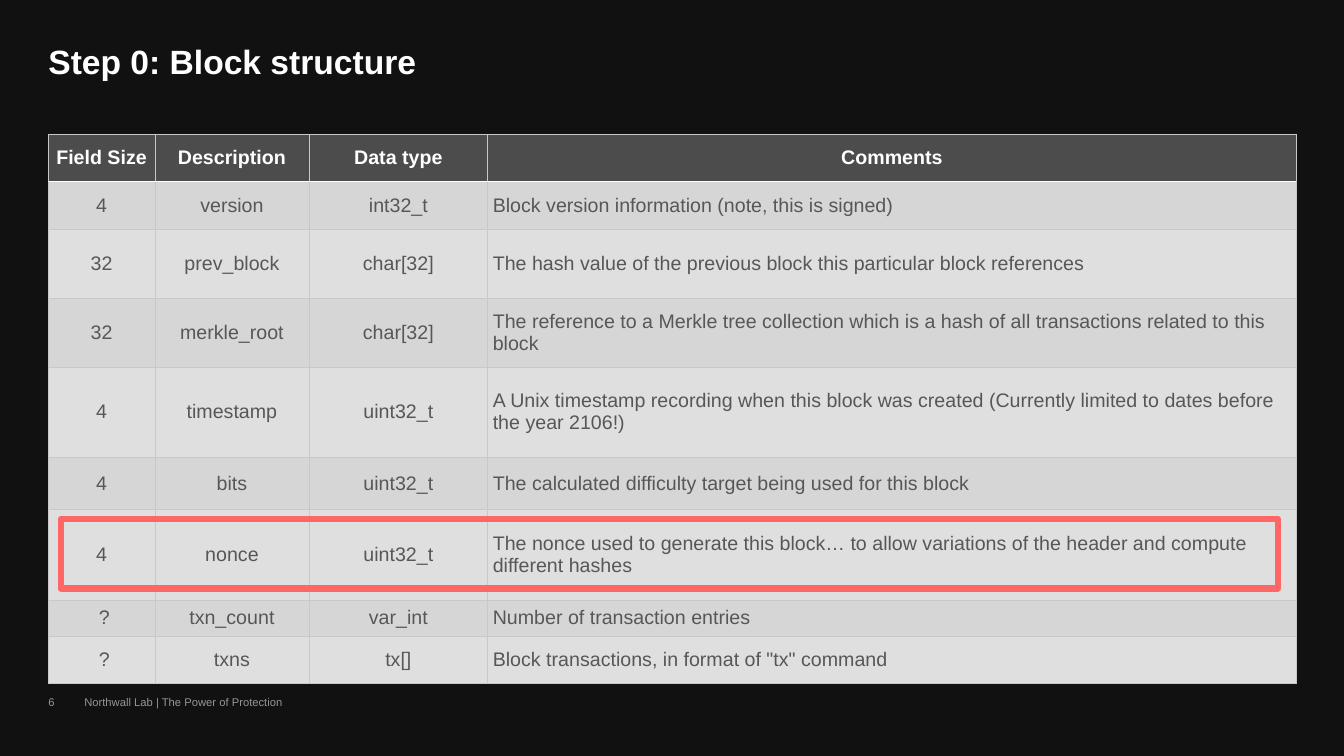
from lxml import etree
from pptx import Presentation
from pptx.dml.color import RGBColor
from pptx.enum.shapes import MSO_SHAPE
from pptx.enum.text import MSO_ANCHOR, PP_ALIGN
from pptx.oxml.ns import qn
from pptx.util import Pt

RECTANGLE = MSO_SHAPE.RECTANGLE
TOP, MIDDLE = MSO_ANCHOR.TOP, MSO_ANCHOR.MIDDLE
LEFT, CENTER = PP_ALIGN.LEFT, PP_ALIGN.CENTER

BACKGROUND = "111111"
WHITE = "FFFFFF"
HEADER_FILL = "4C4C4C"
BAND_FILLS = ("DFDFDF", "D6D6D6")
BODY_TEXT = "575757"
GRID = "C8C8C8"
FOOTER_TEXT = "969696"
HIGHLIGHT = "FF6666"

MARGIN = 34.56
CONTENT_WIDTH = 891.36
TABLE_TOP = 95.9
COLUMN_WIDTHS = (76.1, 110.1, 127.7, 577.4)
ROW_HEIGHTS = (33.8, 34, 49.2, 49.2, 64.6, 37.2, 64.8, 25.8, 34)
FIELDS = (
    ("Field Size", "Description", "Data type", "Comments"),
    ("4", "version", "int32_t",
     "Block version information (note, this is signed)"),
    ("32", "prev_block", "char[32]",
     "The hash value of the previous block this particular block references"),
    ("32", "merkle_root", "char[32]",
     "The reference to a Merkle tree collection which is a hash of all "
     "transactions related to this block"),
    ("4", "timestamp", "uint32_t",
     "A Unix timestamp recording when this block was created (Currently "
     "limited to dates before the year 2106!)"),
    ("4", "bits", "uint32_t",
     "The calculated difficulty target being used for this block"),
    ("4", "nonce", "uint32_t",
     "The nonce used to generate this block… to allow variations of the "
     "header and compute different hashes"),
    (" ?", "txn_count", "var_int", "Number of transaction entries"),
    (" ?", "txns", "tx[]", 'Block transactions, in format of "tx" command'),
)


def color(hex_value):
    return RGBColor.from_string(hex_value)


def style_font(paragraph, size, hex_value, bold=False):
    font = paragraph.font
    font.name = "Arial"
    font.size = Pt(size)
    font.bold = bold
    font.color.rgb = color(hex_value)


def add_label(slide, wording, box, size, hex_value, bold=False, anchor=TOP):
    frame = slide.shapes.add_textbox(*map(Pt, box)).text_frame
    frame.word_wrap = True
    frame.vertical_anchor = anchor
    frame.margin_left = frame.margin_right = 0
    frame.margin_top = frame.margin_bottom = 0
    label = frame.paragraphs[0]
    label.text = wording
    style_font(label, size, hex_value, bold)
    return label


def add_borders(cell, edges):
    properties = cell._tc.get_or_add_tcPr()
    for position, (side, (hex_value, width)) in enumerate(edges.items()):
        edge = etree.Element(qn(f"a:ln{side}"), w=str(Pt(width)))
        fill = etree.SubElement(edge, qn("a:solidFill"))
        etree.SubElement(fill, qn("a:srgbClr"), val=hex_value)
        properties.insert(position, edge)


def fill_cell(cell, wording, row, column):
    is_header = row == 0
    cell.fill.solid()
    cell.fill.fore_color.rgb = color(
        HEADER_FILL if is_header else BAND_FILLS[row % 2])
    cell.vertical_anchor = MIDDLE
    cell.margin_left = cell.margin_right = Pt(3.6)
    cell.margin_top = cell.margin_bottom = Pt(2.16)
    entry = cell.text_frame.paragraphs[0]
    entry.text = wording
    entry.alignment = CENTER if is_header or column < 3 else LEFT
    style_font(entry, 14, WHITE if is_header else BODY_TEXT, is_header)
    edges = dict.fromkeys("LRTB", (GRID, 0.5))
    if row < 2:
        edges["B" if is_header else "T"] = (WHITE, 1)
    add_borders(cell, edges)


def add_field_table(slide):
    table = slide.shapes.add_table(
        len(FIELDS), len(COLUMN_WIDTHS), Pt(MARGIN), Pt(TABLE_TOP),
        Pt(CONTENT_WIDTH), Pt(sum(ROW_HEIGHTS))).table
    table.horz_banding = False
    for column, width in zip(table.columns, COLUMN_WIDTHS):
        column.width = Pt(width)
    for row, height in zip(table.rows, ROW_HEIGHTS):
        row.height = Pt(height)
    for row, field in enumerate(FIELDS):
        for column, wording in enumerate(field):
            fill_cell(table.cell(row, column), wording, row, column)


def add_highlight(slide, box):
    nonce_frame = slide.shapes.add_shape(RECTANGLE, *map(Pt, box))
    nonce_frame.shadow.inherit = False
    nonce_frame.fill.background()
    nonce_frame.line.color.rgb = color(HIGHLIGHT)
    nonce_frame.line.width = Pt(4.5)


def main():
    deck = Presentation()
    deck.slide_width, deck.slide_height = Pt(960), Pt(540)
    slide = deck.slides.add_slide(deck.slide_layouts[6])
    slide.background.fill.solid()
    slide.background.fill.fore_color.rgb = color(BACKGROUND)

    add_label(slide, "Northwall Lab | The Power of Protection",
              (60.2, 497, 300, 22), 8, FOOTER_TEXT)
    add_label(slide, "6", (MARGIN, 497, 19, 22), 8, FOOTER_TEXT)
    title = add_label(slide, "Step 0: Block structure",
                      (MARGIN, 32.4, CONTENT_WIDTH, 26), 24, WHITE, True, MIDDLE)
    title.line_spacing = 0.9
    add_field_table(slide)
    add_highlight(slide, (43.4, 370.6, 869.3, 49.7))
    deck.save("out.pptx")


if __name__ == "__main__":
    main()
